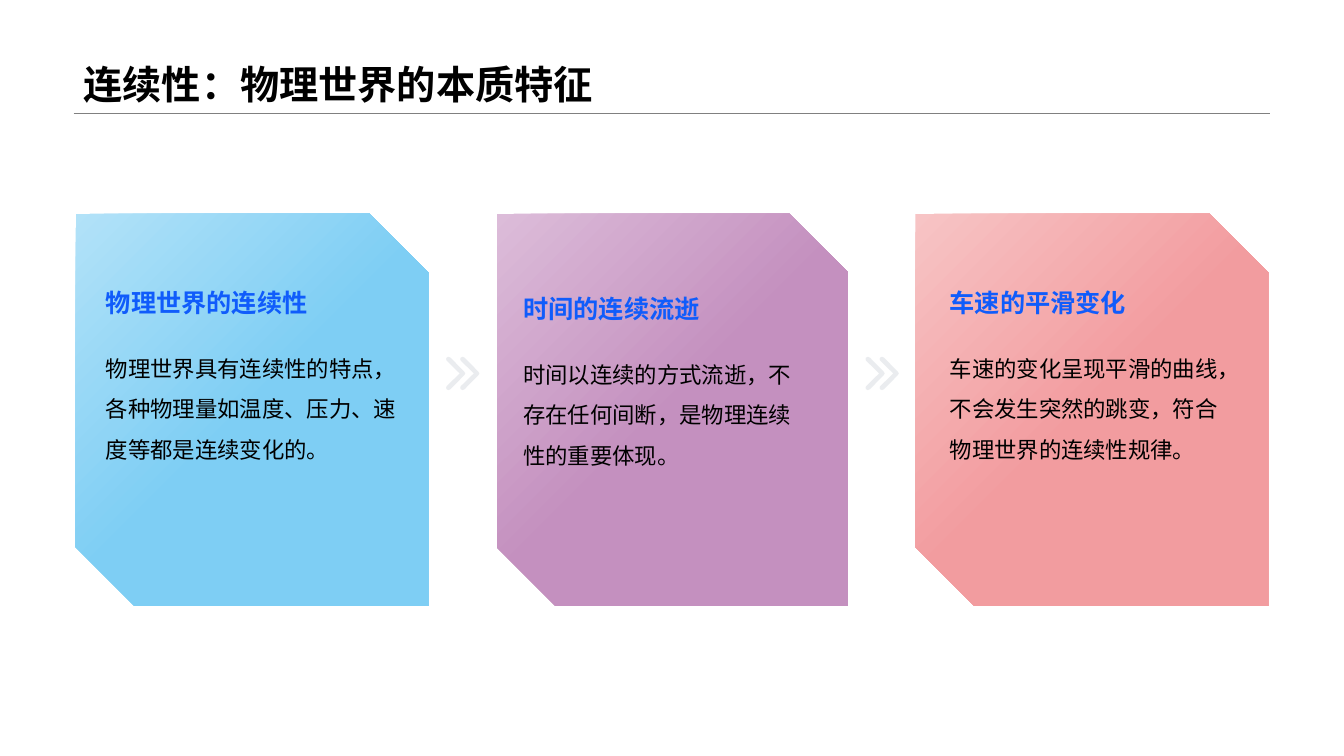
from lxml import etree
from pptx import Presentation
from pptx.dml.color import RGBColor
from pptx.enum.shapes import MSO_CONNECTOR, MSO_SHAPE
from pptx.enum.text import MSO_ANCHOR, MSO_AUTO_SIZE, PP_ALIGN
from pptx.oxml.ns import qn
from pptx.util import Pt

SNIPPED = MSO_SHAPE.SNIP_2_DIAG_RECTANGLE
STRAIGHT = MSO_CONNECTOR.STRAIGHT
TOP, BOTTOM = MSO_ANCHOR.TOP, MSO_ANCHOR.BOTTOM
NO_FIT, GROW = MSO_AUTO_SIZE.NONE, MSO_AUTO_SIZE.SHAPE_TO_FIT_TEXT
LEFT = PP_ALIGN.LEFT

PX = 9144
THEME = {
    "title": {"size": 28, "color": "000000", "font": "Arial", "bold": True},
    "heading": {"size": 18, "color": "105CFB", "font": "Arial", "bold": True},
    "body": {"size": 16, "color": "000000", "font": "Noto Sans CJK SC", "bold": False},
    "east_asian": "Noto Sans CJK SC",
    "rule": "808080",
    "chevron": "768395",
    "chevron_alpha": 15,
}

CARDS = [
    (75, 350, 93, 314, 273, "B2E2F8", "7ECEF4", "物理世界的连续性",
     "物理世界具有连续性的特点，各种物理量如温度、压力、速度等都是连续变化的。"),
    (493, 348, 507, 312, 279, "DCBCD9", "C490BF", "时间的连续流逝",
     "时间以连续的方式流逝，不存在任何间断，是物理连续性的重要体现。"),
    (908, 350, 930, 307, 273, "F7C4C5", "F29C9F", "车速的平滑变化",
     "车速的变化呈现平滑的曲线，不会发生突然的跳变，符合物理世界的连续性规律。"),
]
CHEVRON_LEFTS = [442, 858]
UPPER_HALF = [(280, 165), (150, 38), (145, 22), (150, 8), (168, 0), (188, 8), (325, 148), (335, 165)]
LOWER_HALF = [(x, 330 - y) for x, y in UPPER_HALF[-2:0:-1]]


def write(box, text, role, anchor, spacing):
    style = THEME[role]
    frame = box.text_frame
    frame.word_wrap = True
    frame.vertical_anchor = anchor
    para = frame.paragraphs[0]
    para.text = text
    para.alignment = LEFT
    para.line_spacing = spacing
    font = para.font
    font.size = Pt(style["size"])
    font.bold = style["bold"]
    font.color.rgb = RGBColor.from_string(style["color"])
    font.name = style["font"]
    properties = para._p.pPr.find(qn("a:defRPr"))
    etree.SubElement(properties, qn("a:ea"), typeface=THEME["east_asian"])


def add_card_text(page, left, top, width, height, text, role, anchor, spacing):
    box = page.shapes.add_textbox(left * PX, top * PX, width * PX, height * PX)
    frame = box.text_frame
    frame.margin_left = frame.margin_right = frame.margin_top = frame.margin_bottom = 12 * PX
    write(box, text, role, anchor, spacing)
    frame.auto_size = GROW


deck = Presentation()
deck.slide_width, deck.slide_height = 1333 * PX, 750 * PX
page = deck.slides.add_slide(deck.slide_layouts[5])

title = page.shapes.title
title.left, title.top, title.width, title.height = 73 * PX, 0, 1187 * PX, 112 * PX
write(title, "连续性：物理世界的本质特征", "title", BOTTOM, 0.9)
title.text_frame.auto_size = NO_FIT

rule = page.shapes.add_connector(STRAIGHT, 73 * PX, 112 * PX, 1260 * PX, 112 * PX)
rule.line.color.rgb = RGBColor.from_string(THEME["rule"])
rule.line.width = Pt(0.25)
etree.SubElement(rule._element.spPr, qn("a:effectLst"))

for left, width, text_left, text_width, text_top, light, deep, heading, body in CARDS:
    card = page.shapes.add_shape(SNIPPED, left * PX, 212 * PX, width * PX, 389 * PX)
    card.shadow.inherit = False
    card.line.fill.background()
    card.fill.gradient()
    card.fill.gradient_angle = 315
    for stop, position, color in zip(card.fill.gradient_stops, (0, 0.5), (light, deep)):
        stop.position = position
        stop.color.rgb = RGBColor.from_string(color)
    add_card_text(page, text_left, text_top, text_width, 54, heading, "heading", BOTTOM, 1)
    add_card_text(page, text_left, text_top + 54, text_width, 139, body, "body", TOP, 1.5)

for left in CHEVRON_LEFTS:
    outline = UPPER_HALF + LOWER_HALF
    builder = page.shapes.build_freeform(*outline[0], scale=PX / 10)
    builder.add_line_segments(outline[1:], close=True)
    builder.move_to(outline[0][0] - 140, outline[0][1])
    builder.add_line_segments([(x - 140, y) for x, y in outline[1:]], close=True)
    chevron = builder.convert_to_shape(left * PX, 354 * PX)
    chevron.shadow.inherit = False
    chevron.line.fill.background()
    chevron.fill.solid()
    chevron.fill.fore_color.rgb = RGBColor.from_string(THEME["chevron"])
    color = chevron._element.spPr.find(qn("a:solidFill")).find(qn("a:srgbClr"))
    etree.SubElement(color, qn("a:alpha"), val=str(THEME["chevron_alpha"] * 1000))

deck.save("out.pptx")
